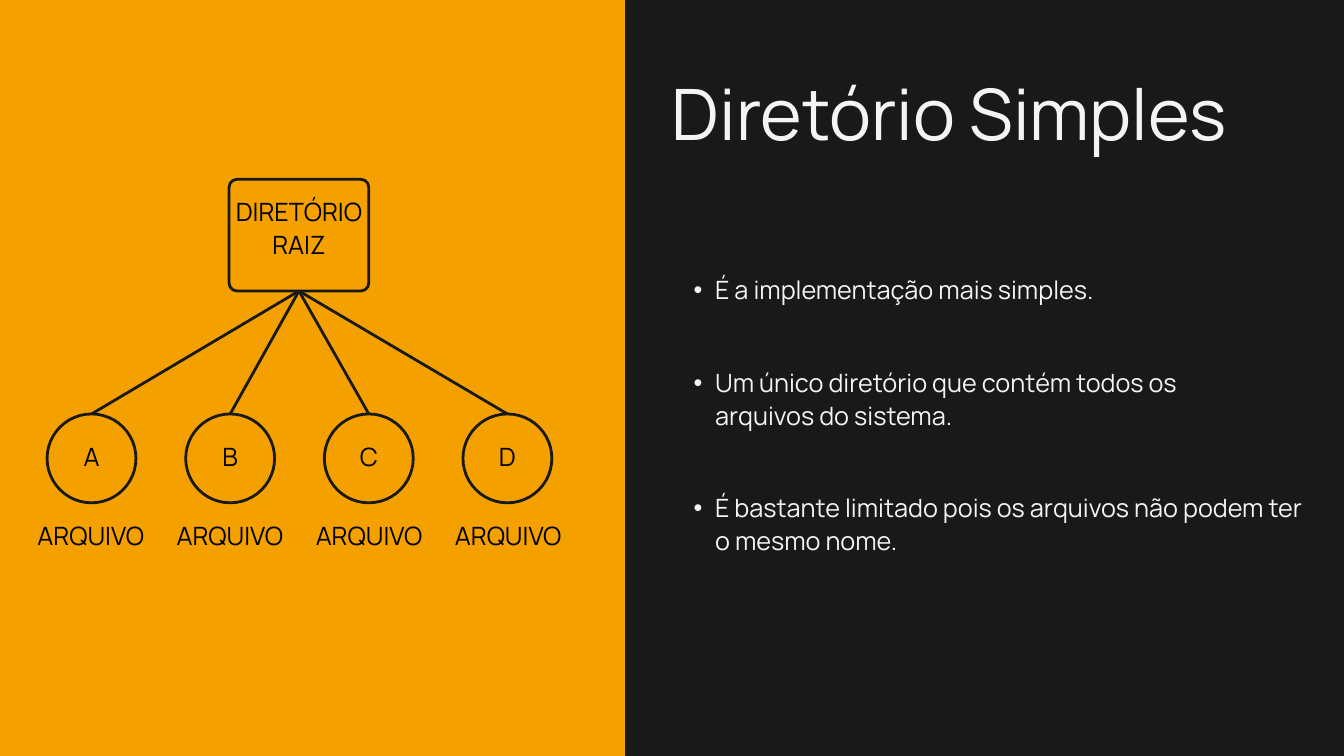
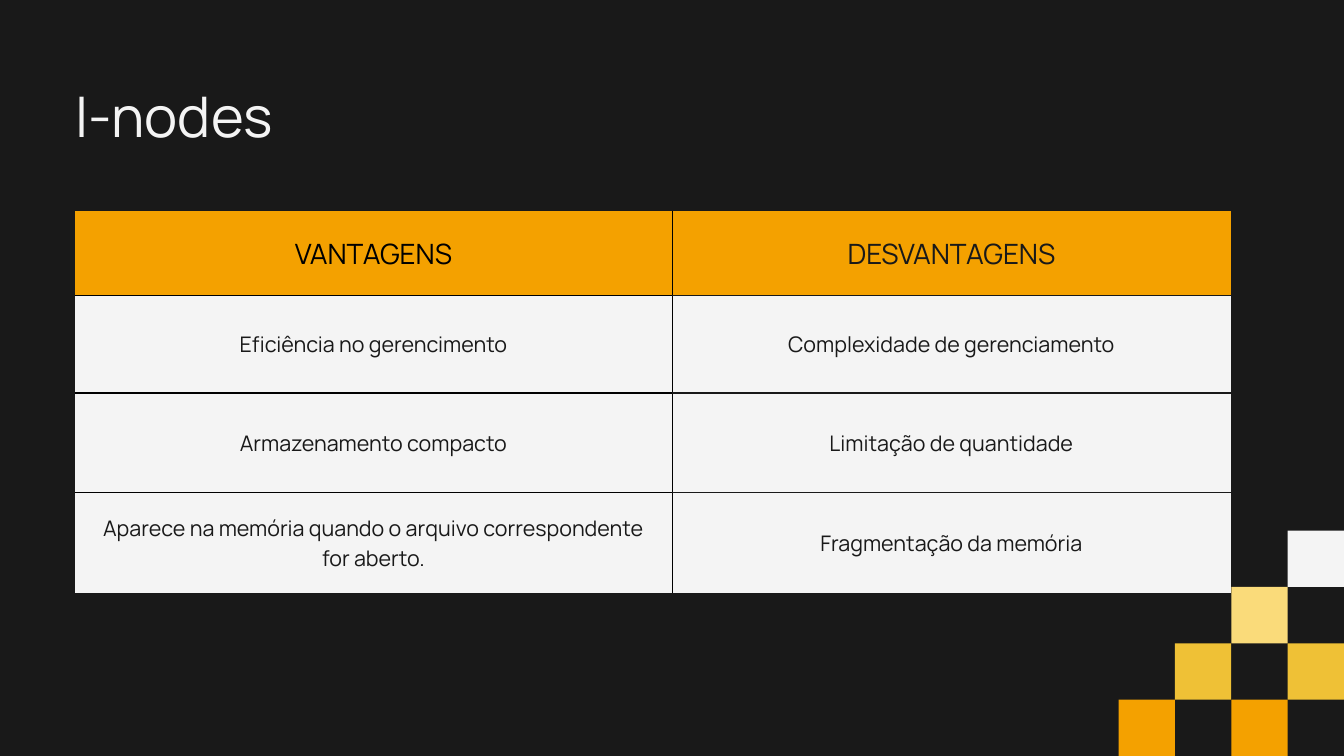
from dataclasses import dataclass

from lxml import etree
from pptx import Presentation
from pptx.dml.color import RGBColor
from pptx.enum.shapes import MSO_CONNECTOR, MSO_SHAPE
from pptx.enum.text import MSO_ANCHOR, PP_ALIGN
from pptx.oxml.ns import qn
from pptx.util import Cm, Pt

RECT, ROUND, OVAL = MSO_SHAPE.RECTANGLE, MSO_SHAPE.ROUNDED_RECTANGLE, MSO_SHAPE.OVAL
STRAIGHT = MSO_CONNECTOR.STRAIGHT
MIDDLE = MSO_ANCHOR.MIDDLE
LEFT, CENTER = PP_ALIGN.LEFT, PP_ALIGN.CENTER


@dataclass(frozen=True)
class Theme:
    font: str = "Manrope"
    dark: RGBColor = RGBColor.from_string("191919")
    light: RGBColor = RGBColor.from_string("F4F4F4")
    black: RGBColor = RGBColor.from_string("000000")
    amber: RGBColor = RGBColor.from_string("F4A100")
    gold: RGBColor = RGBColor.from_string("EFC136")
    cream: RGBColor = RGBColor.from_string("FADB7A")
    title: int = 76
    topic: int = 60
    head: int = 30
    body: int = 27
    cell: int = 23
    stroke: int = 3


T = Theme()
WIDE, HIGH = 50.8, 28.58


def write(frame, text, size, ratio, color, align=LEFT):
    """Set the text in one style; ratio is line pitch over type size."""
    frame.word_wrap = True
    frame.text = text
    para = frame.paragraphs[0]
    para.alignment = align
    para.line_spacing = Pt(size * ratio)
    font = para.runs[0].font
    font.name, font.size = T.font, Pt(size)
    font.color.rgb = color
    return para


def note(slide, place, *style):
    """Add a text box without margins and return its paragraph."""
    frame = slide.shapes.add_textbox(*map(Cm, place)).text_frame
    frame.margin_left = frame.margin_right = 0
    frame.margin_top = frame.margin_bottom = 0
    return write(frame, *style)


deck = Presentation()
deck.slide_width, deck.slide_height = Cm(WIDE), Cm(HIGH)
slides = [deck.slides.add_slide(deck.slide_layouts[6]) for _ in range(2)]
for slide in slides:
    slide.background.fill.solid()
    slide.background.fill.fore_color.rgb = T.dark
tree, nodes = slides

# Colour blocks: the side panel, then steps that climb to the right edge
blocks = [(tree, (0, 0, 23.62, HIGH), T.amber)]
side = 2.13
tints = [T.amber, T.gold, T.cream, T.light]
for col, row in [(0, 3), (1, 2), (2, 1), (3, 0), (1, 0), (0, 1)]:
    place = (WIDE - side * (col + 1), HIGH - side * (row + 1), side, side)
    blocks.append((nodes, place, tints[row]))
for slide, place, color in blocks:
    block = slide.shapes.add_shape(RECT, *map(Cm, place))
    block.shadow.inherit = False
    block.fill.solid()
    block.fill.fore_color.rgb = color
    block.line.fill.background()

# Slide 1: root folder, its files and the notes
parts = [(ROUND, (8.66, 6.78, 5.28, 4.22), "DIRETÓRIO RAIZ", 0.62)]
for i, name in enumerate("ABCD"):
    parts.append((OVAL, (1.78 + 5.24 * i, 15.65, 3.36, 3.36), name, 0.24))
    place = (0.79 + 5.26 * i, 19.48, 5.28, 1.35)
    note(tree, place, "ARQUIVO", T.body, 1.4, T.black, CENTER)

drawn = []
for kind, place, text, lift in parts:
    part = tree.shapes.add_shape(kind, *map(Cm, place))
    part.shadow.inherit = False
    part.fill.background()
    part.line.color.rgb = T.dark
    part.line.width = Pt(T.stroke)
    frame = part.text_frame
    frame.margin_left = frame.margin_right = frame.margin_top = 0
    frame.margin_bottom = Cm(lift)
    frame.vertical_anchor = MIDDLE
    write(frame, text, T.body, 1.3, T.black, CENTER)
    drawn.append(part)

root, *files = drawn
root.adjustments[0] = 0.07
for file in files:
    link = tree.shapes.add_connector(STRAIGHT, 0, 0, 0, 0)
    link.begin_connect(root, 2)
    link.end_connect(file, 0)
    link.line.color.rgb = T.dark
    link.line.width = Pt(T.stroke)
    etree.SubElement(link._element.spPr, qn("a:effectLst"))

note(tree, (25.4, 2.64, 23.85, 3.4), "Diretório Simples", T.title, 1.2, T.light)
points = [
    (10.29, 17.68, 1.27, "É a implementação mais simples."),
    (13.79, 22.89, 2.49, "Um único diretório que contém todos os arquivos do sistema."),
    (18.52, 24.18, 2.49, "É bastante limitado pois os arquivos não podem ter o mesmo nome."),
]
for top, width, height, text in points:
    para = note(tree, (25.4, top, width, height), text, T.body, 1.3, T.light)
    props = para._p.get_or_add_pPr()
    props.set("marL", str(Cm(1.63)))
    props.set("indent", str(Cm(-0.81)))
    etree.SubElement(props, qn("a:buFont"), typeface="Arial")
    etree.SubElement(props, qn("a:buChar"), char="•")

# Slide 2: pros and cons
note(nodes, (2.84, 3.1, 45.09, 2.72), "I-nodes", T.topic, 1.2, T.light)
rows = [
    ("VANTAGENS", "DESVANTAGENS"),
    ("Eficiência no gerencimento", "Complexidade de gerenciamento"),
    ("Armazenamento compacto", "Limitação de quantidade"),
    ("Aparece na memória quando o arquivo correspondente for aberto.",
     "Fragmentação da memória"),
]
widths, heights = [22.56, 21.13], [3.2, 3.68, 3.76, 3.78]
place = (2.84, 7.98, sum(widths), sum(heights))
table = nodes.shapes.add_table(len(rows), 2, *map(Cm, place)).table
for col, width in zip(table.columns, widths):
    col.width = Cm(width)
for row, height in zip(table.rows, heights):
    row.height = Cm(height)

for r, texts in enumerate(rows):
    for c, text in enumerate(texts):
        cell = table.cell(r, c)
        cell.margin_left = cell.margin_right = Cm(0.53)
        cell.margin_top = cell.margin_bottom = Cm(0.53)
        cell.vertical_anchor = MIDDLE
        rule = T.dark if c else T.black
        edges = [
            ("a:lnL", c > 0, 0.75, T.black),
            ("a:lnR", c < 1, 0.75, T.black),
            ("a:lnT", r > 0, 1.5, rule),
            ("a:lnB", r < len(rows) - 1, 1.5, rule),
        ]
        props = cell._tc.get_or_add_tcPr()
        for tag, inner, weight, color in edges:
            edge = etree.SubElement(props, qn(tag), w=str(Pt(weight)))
            if inner:
                fill = etree.SubElement(edge, qn("a:solidFill"))
                etree.SubElement(fill, qn("a:srgbClr"), val=str(color))
            else:
                etree.SubElement(edge, qn("a:noFill"))
        cell.fill.solid()
        cell.fill.fore_color.rgb = T.light if r else T.amber
        size = T.cell if r else T.head
        ink = T.dark if r or c else T.black
        para = write(cell.text_frame, text, size, 1.4, ink, CENTER)
        para.runs[0].font.bold = False

deck.save("out.pptx")
